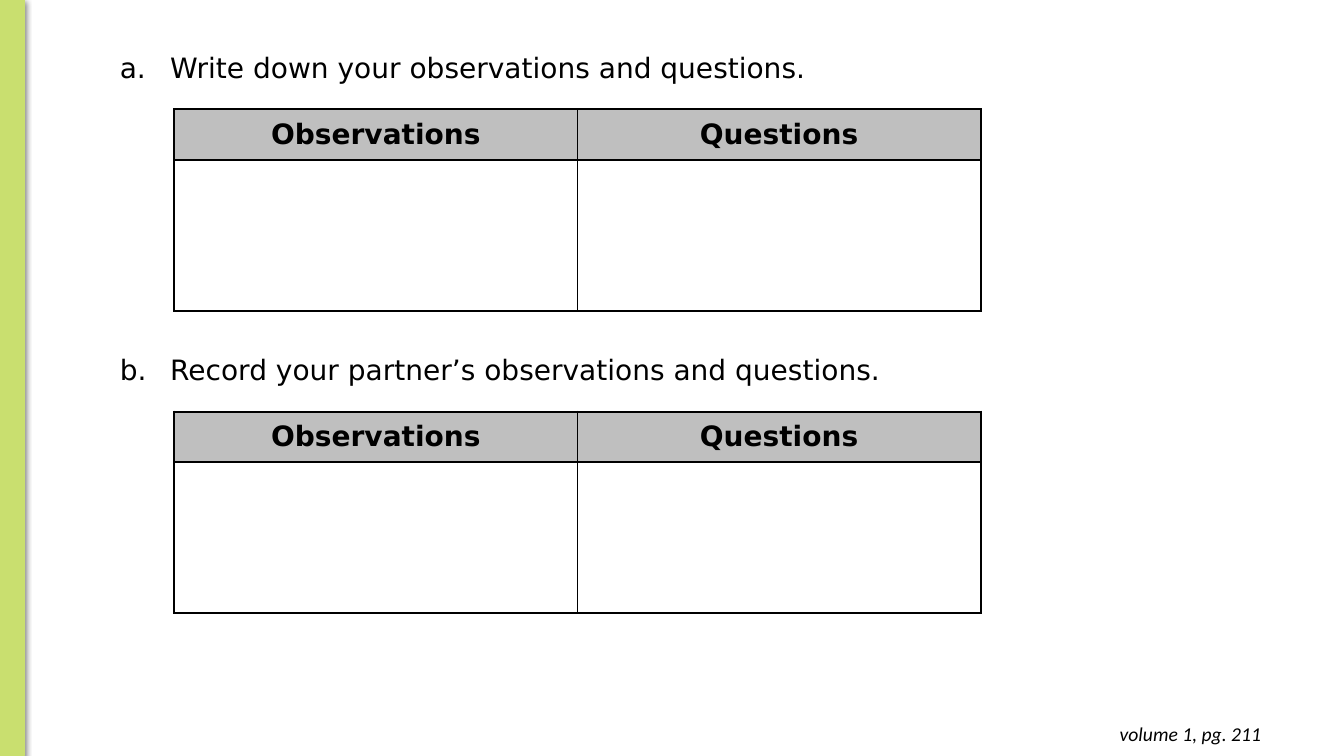
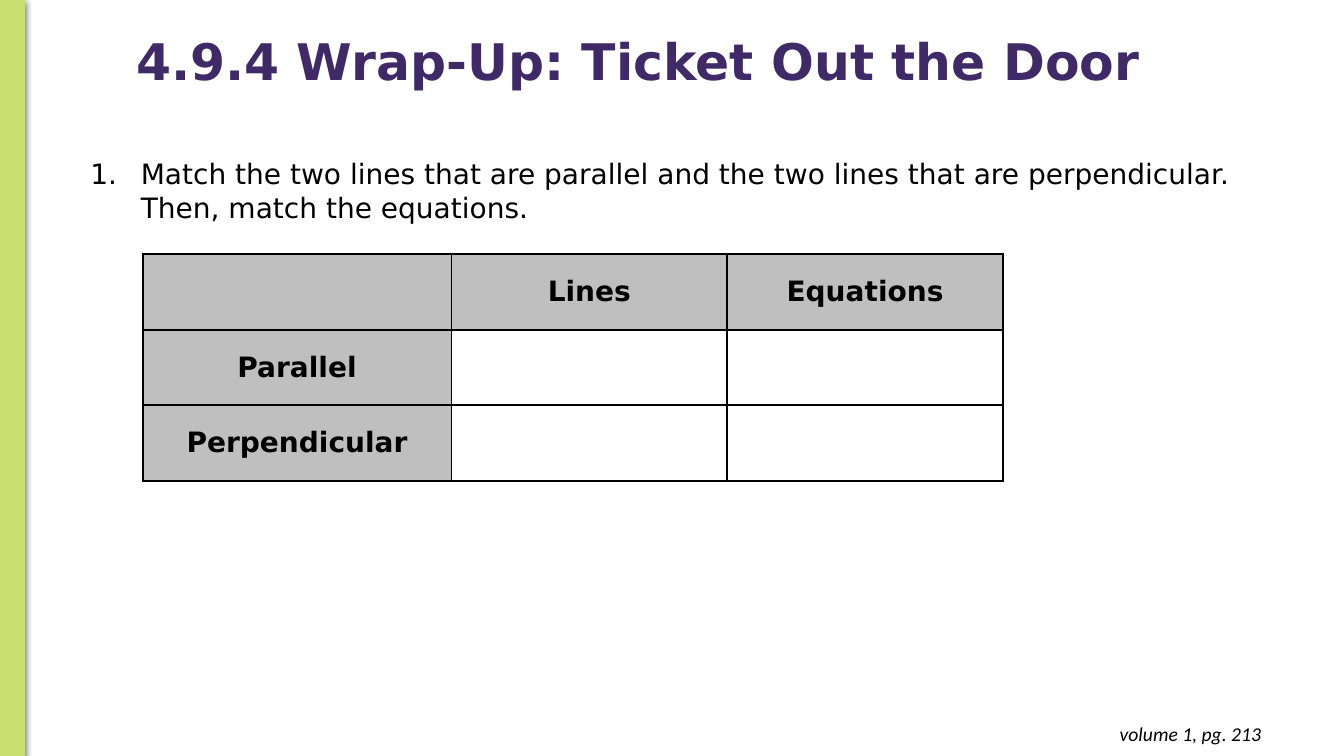
from dataclasses import dataclass
from lxml.etree import SubElement as Sub
from pptx import Presentation
from pptx.dml.color import RGBColor as RGB
from pptx.enum.shapes import MSO_SHAPE as Shape
from pptx.enum.text import MSO_ANCHOR as Anchor, MSO_AUTO_SIZE as Fit, PP_ALIGN as Align
from pptx.oxml.ns import qn
from pptx.util import Pt


@dataclass
class Theme:
    ink: RGB = RGB(0, 0, 0)
    plum: RGB = RGB(0x3F, 0x2A, 0x67)
    lime: RGB = RGB(0xC9, 0xDF, 0x6F)
    gray: RGB = RGB(0xBF, 0xBF, 0xBF)
    white: RGB = RGB(255, 255, 255)
    sans: str = "DejaVu Sans"
    foot: str = "Calibri"
    head: int = 36
    body: int = 20
    note: int = 14


theme = Theme()


def ask(slide, left, top, width, height, text, style, start):
    box = slide.shapes.add_textbox(Pt(left), Pt(top), Pt(width), Pt(height))
    frame = box.text_frame
    frame.word_wrap = True
    frame.text = text
    para = frame.paragraphs[0]
    props = para._p.get_or_add_pPr()
    props.set("marL", str(Pt(36)))
    props.set("indent", str(-Pt(36)))
    Sub(props, qn("a:buAutoNum"), type=style, startAt=str(start))
    para.font.size, para.font.name = Pt(theme.body), theme.sans
    para.font.color.rgb = theme.ink


def grid(slide, left, top, cols, rows, texts, shaded):
    frame = slide.shapes.add_table(
        len(rows), len(cols), Pt(left), Pt(top), Pt(sum(cols)), Pt(sum(rows)))
    table = frame.table
    table.first_row = table.horz_banding = False
    for col, width in zip(table.columns, cols):
        col.width = Pt(width)
    for row, height in zip(table.rows, rows):
        row.height = Pt(height)
    for y in range(len(rows)):
        for x in range(len(cols)):
            cell = table.cell(y, x)
            cell.text = texts.get((y, x), "")
            cell.vertical_anchor = Anchor.MIDDLE
            cell.margin_left = cell.margin_right = Pt(5)
            cell.margin_top = cell.margin_bottom = 0
            para = cell.text_frame.paragraphs[0]
            para.alignment = Align.CENTER
            para.font.size, para.font.name = Pt(theme.body), theme.sans
            para.font.bold = True
            para.font.color.rgb = theme.ink
            props = cell._tc.get_or_add_tcPr()
            for side in ("L", "R", "T", "B"):
                line = Sub(props, qn(f"a:ln{side}"), w=str(Pt(1.5)))
                fill = Sub(line, qn("a:solidFill"))
                Sub(fill, qn("a:srgbClr"), val=str(theme.ink))
            cell.fill.solid()
            cell.fill.fore_color.rgb = theme.gray if shaded(y, x) else theme.white


deck = Presentation()
deck.slide_width, deck.slide_height = Pt(960), Pt(540)
blank, titled = deck.slide_layouts[6], deck.slide_layouts[5]
notes = deck.slides.add_slide(blank)
wrap = deck.slides.add_slide(titled)

for slide, page in ((notes, 211), (wrap, 213)):
    band = slide.shapes.add_shape(Shape.RECTANGLE, 0, 0, Pt(17.5), Pt(540))
    band.fill.solid()
    band.fill.fore_color.rgb = band.line.color.rgb = theme.lime
    band.line.width = Pt(0.75)
    band.shadow.inherit = False
    glow = Sub(band._element.spPr.find(qn("a:effectLst")), qn("a:outerShdw"),
               blurRad=str(Pt(4.5)), dist=str(Pt(1.5)), dir="5400000", rotWithShape="0")
    tint = Sub(glow, qn("a:srgbClr"), val=str(theme.ink))
    Sub(tint, qn("a:alpha"), val="50000")

    foot = slide.shapes.add_textbox(Pt(700.5), Pt(508.5), Pt(207.5), Pt(31.5)).text_frame
    foot.word_wrap = True
    foot.margin_top = foot.margin_bottom = Pt(7.2)
    foot.text = f"volume 1, pg. {page}"
    para = foot.paragraphs[0]
    para.alignment = Align.RIGHT
    para.font.size, para.font.name = Pt(theme.note), theme.foot
    para.font.italic = True
    para.font.color.rgb = theme.ink

tasks = (
    "Write down your observations and questions.",
    "Record your partner’s observations and questions.",
)
for i, text in enumerate(tasks):
    top = 32.5 + 216 * i
    ask(notes, 78.5, top, 831.5, 32, text, "alphaLcPeriod", i + 1)
    grid(notes, 124.5, top + 45.5, (288, 288), (36, 108),
         {(0, 0): "Observations", (0, 1): "Questions"}, lambda y, x: y == 0)

title = wrap.shapes.title
title.left, title.top, title.width, title.height = Pt(90), Pt(22), Pt(840), Pt(47)
frame = title.text_frame
frame.text = "4.9.4 Wrap-Up: Ticket Out the Door"
frame.auto_size = Fit.NONE
frame.vertical_anchor = Anchor.MIDDLE
para = frame.paragraphs[0]
para.alignment = Align.LEFT
para.line_spacing = 0.9
para.font.size, para.font.name = Pt(theme.head), theme.sans
para.font.bold = True
para.font.color.rgb = theme.plum

ask(wrap, 57.5, 108.5, 850.5, 55.5,
    "Match the two lines that are parallel and the two lines that are perpendicular. "
    "Then, match the equations.", "arabicPeriod", 1)
grid(wrap, 102, 181.5, (220.5, 197, 197), (54, 54, 54),
     {(0, 1): "Lines", (0, 2): "Equations", (1, 0): "Parallel", (2, 0): "Perpendicular"},
     lambda y, x: y == 0 or x == 0)

deck.save("out.pptx")
